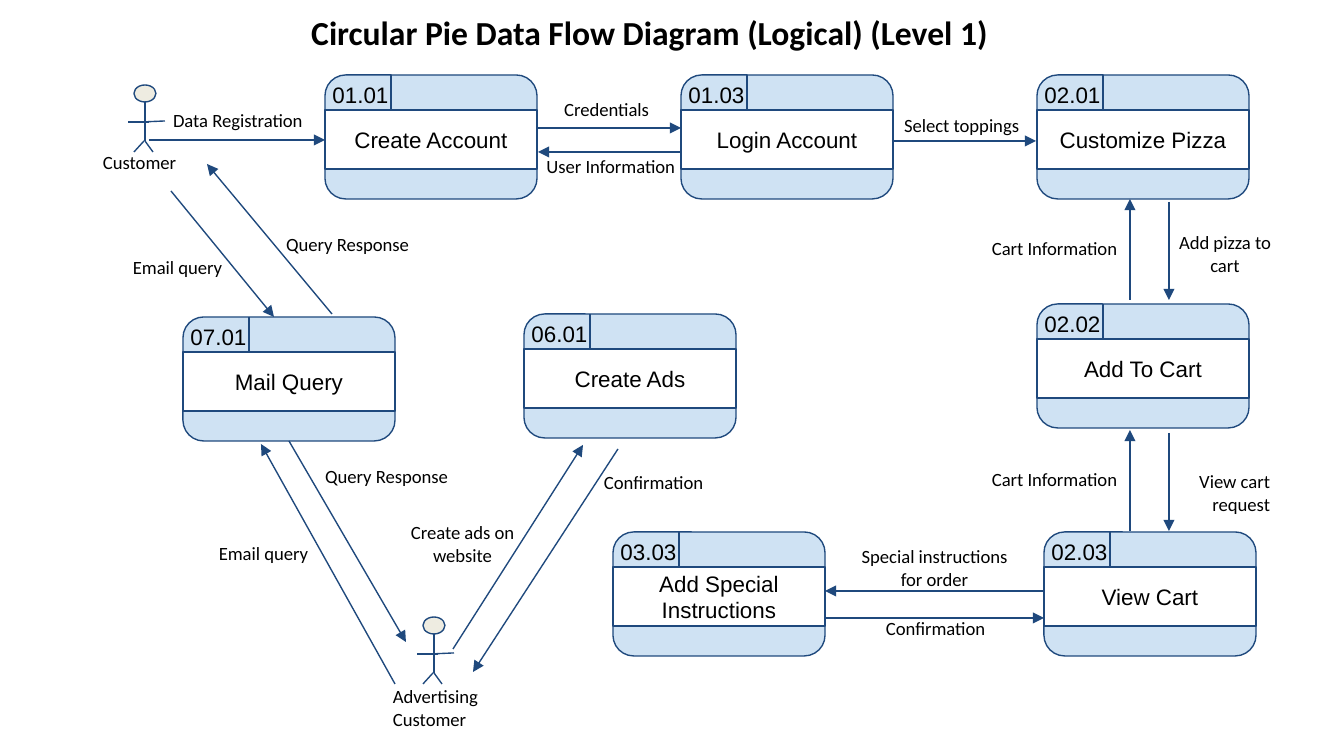
from pptx import Presentation
from pptx.dml.color import RGBColor
from pptx.enum.shapes import MSO_CONNECTOR, MSO_SHAPE
from pptx.enum.text import MSO_ANCHOR, PP_ALIGN
from pptx.oxml.ns import qn
from pptx.util import Pt
from lxml.etree import SubElement

SCALE = 914400 / 134.4
HUES = {"ink": "000000", "line": "1F497D", "band": "CFE2F3",
        "body": "FFFFFF", "head": "EEECE1"}
SIDES = {"l": PP_ALIGN.LEFT, "c": PP_ALIGN.CENTER, "r": PP_ALIGN.RIGHT}

BOXES = [
    (325, 75, "01.01", "Create Account"),
    (681, 75, "01.03", "Login Account"),
    (1037, 75, "02.01", "Customize Pizza"),
    (1044, 532, "02.03", "View Cart"),
    (1037, 304, "02.02", "Add To Cart"),
    (613, 532, "03.03", "Add Special Instructions"),
    (524, 314, "06.01", "Create Ads"),
    (183, 317, "07.01", "Mail Query"),
]
FLOWS = [
    (149, 140, 325, 140), (681, 152, 538, 152), (538, 128, 681, 128),
    (892, 141, 1036, 141), (1169, 202, 1169, 300), (1130, 300, 1130, 199),
    (1169, 433, 1169, 531), (1130, 531, 1130, 430), (1044, 591, 825, 591),
    (825, 618, 1044, 618), (171, 191, 274, 317), (395, 684, 261, 444),
    (332, 314, 207, 164), (289, 441, 406, 642), (453, 649, 583, 445),
    (618, 449, 473, 672),
]
LABELS = [
    ("Customer", 90, 140, 116, 50, "l"),
    ("Data Registration", 160, 98, 181, 46, "l"),
    ("Credentials", 542, 87, 120, 52, "r"),
    ("User Information", 524, 144, 164, 52, "r"),
    ("Select toppings", 884, 103, 148, 52, "r"),
    ("Add pizza to cart", 1165, 218, 120, 52, "c"),
    ("Cart Information", 966, 226, 164, 52, "r"),
    ("View cart request", 1163, 457, 120, 52, "r"),
    ("Cart Information", 966, 457, 164, 52, "r"),
    ("Special instructions for order", 844, 532, 181, 55, "c"),
    ("Confirmation", 845, 606, 181, 55, "c"),
    ("Advertising Customer", 380, 672, 116, 73, "l"),
    ("Email query", 87, 245, 181, 55, "c"),
    ("Query Response", 257, 222, 181, 55, "c"),
    ("Email query", 173, 531, 181, 55, "c"),
    ("Query Response", 296, 454, 181, 55, "c"),
    ("Create ads on website", 372, 508, 181, 55, "c"),
    ("Confirmation", 563, 460, 181, 55, "c"),
]
LIMBS = [(11, 17, 11, 56), (10, 56, 0, 67), (11, 56, 19, 67),
         (8, 37, 31, 36), (15, 37, -6, 37)]


def px(*vals):
    """Turn pixels into EMU."""
    return [round(val * SCALE) for val in vals]


def hue(name):
    """Look up a colour."""
    return RGBColor.from_string(HUES[name])


def write(shape, text, size=10, font="Calibri", side="c", bold=False,
          anchor=MSO_ANCHOR.TOP):
    """Put formatted text in a shape."""
    frame = shape.text_frame
    frame.word_wrap = True
    frame.vertical_anchor = anchor
    inset, = px(13)
    frame.margin_left = frame.margin_right = inset
    frame.margin_top = frame.margin_bottom = inset
    para = frame.paragraphs[0]
    para.alignment = SIDES[side]
    run = para.add_run()
    run.text = text
    run.font.size = Pt(size)
    run.font.name = font
    run.font.bold = bold
    run.font.color.rgb = hue("ink")


def label(shapes, text, *area, **style):
    """Add a text box."""
    write(shapes.add_textbox(*px(*area)), text, **style)


def block(shapes, kind, fill, *area):
    """Add a filled and outlined shape."""
    shape = shapes.add_shape(kind, *px(*area))
    shape.shadow.inherit = False
    shape.fill.solid()
    shape.fill.fore_color.rgb = hue(fill)
    shape.line.color.rgb = hue("line")
    shape.line.width = Pt(0.75)
    return shape


def stroke(shapes, *ends, arrow=False):
    """Add a straight line, with an arrowhead if asked."""
    line = shapes.add_connector(MSO_CONNECTOR.STRAIGHT, *px(*ends))
    line.line.color.rgb = hue("line")
    line.line.width = Pt(0.75)
    props = line._element.spPr
    if arrow:
        SubElement(props.find(qn("a:ln")), qn("a:tailEnd"), type="triangle")
    SubElement(props, qn("a:effectLst"))


def process(shapes, x, y, code, name):
    """Add a numbered process box as a group."""
    parts = shapes.add_group_shape().shapes
    block(parts, MSO_SHAPE.ROUNDED_RECTANGLE, "band", x, y, 212, 124)
    label(parts, code, x - 12, y - 7, 95, 50, size=12, font="Arial")
    body = block(parts, MSO_SHAPE.RECTANGLE, "body", x, y + 35, 212, 59)
    write(body, name, size=12, font="Arial", anchor=MSO_ANCHOR.MIDDLE)
    stroke(parts, x + 66, y, x + 66, y + 35)


def person(shapes, x, y):
    """Add a stick figure."""
    block(shapes, MSO_SHAPE.OVAL, "head", x, y, 22, 17)
    for left, top, right, base in LIMBS:
        stroke(shapes, x + left, y + top, x + right, y + base)


def main():
    """Build the slide."""
    deck = Presentation()
    deck.slide_width, deck.slide_height = px(1344, 756)
    shapes = deck.slides.add_slide(deck.slide_layouts[6]).shapes
    for box in BOXES:
        process(shapes, *box)
    for flow in FLOWS:
        stroke(shapes, *flow, arrow=True)
    for x, y in [(134, 85), (423, 617)]:
        person(shapes, x, y)
    for text, *area, side in LABELS:
        label(shapes, text, *area, side=side)
    label(shapes, "Circular Pie Data Flow Diagram (Logical) (Level 1) ",
          141, -1, 1025, 67, size=18, bold=True)
    deck.save("out.pptx")


main()
